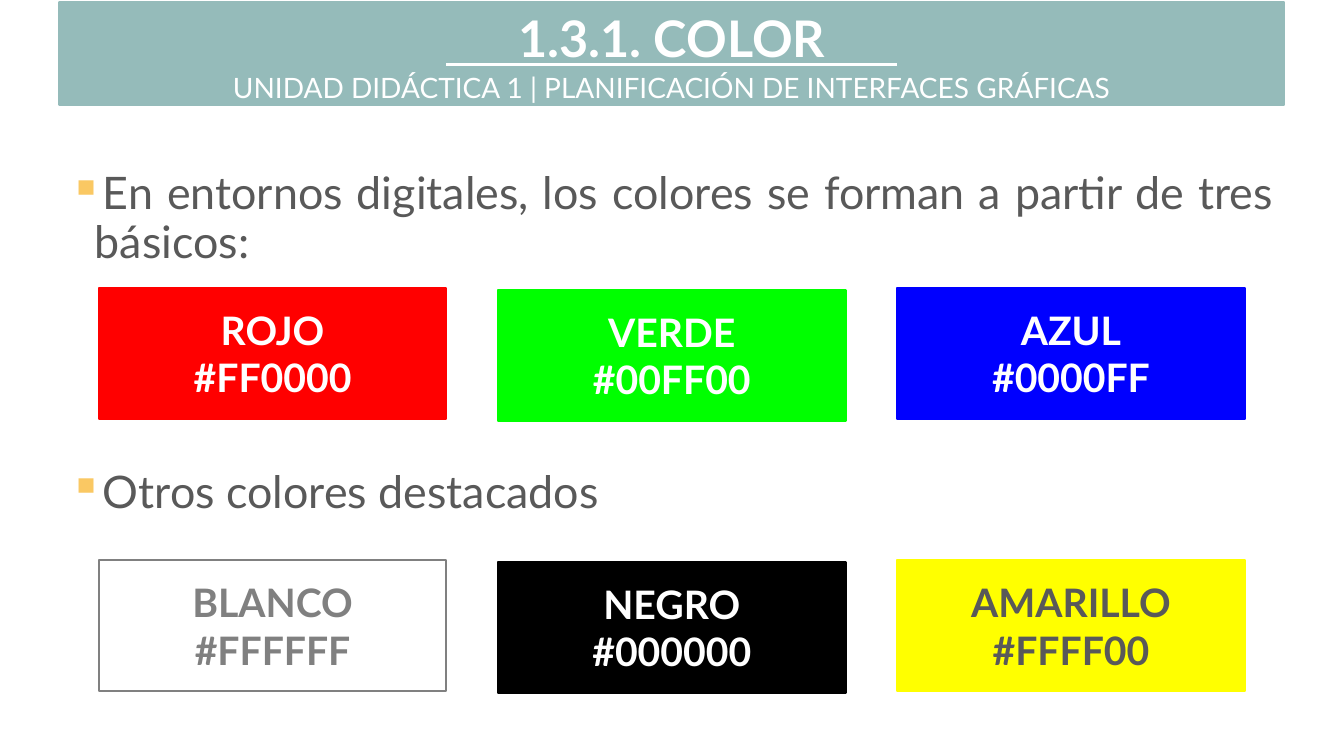
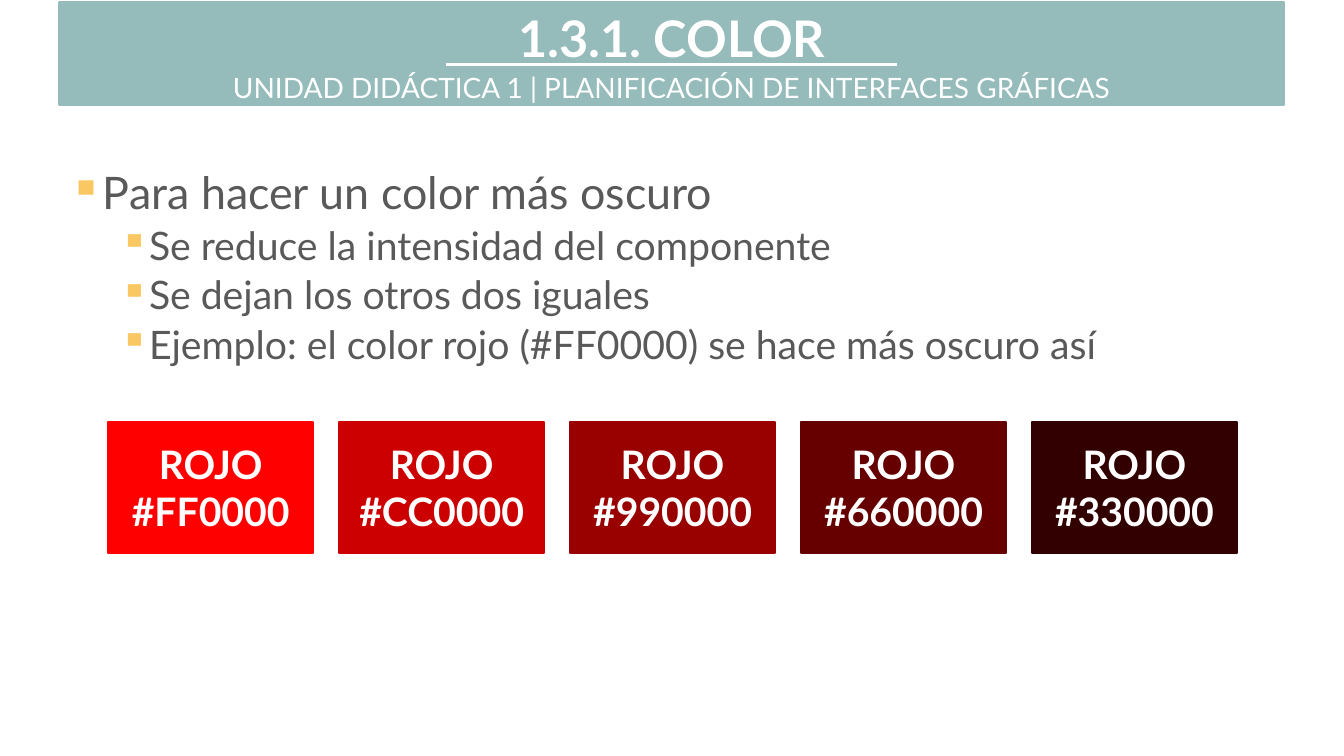
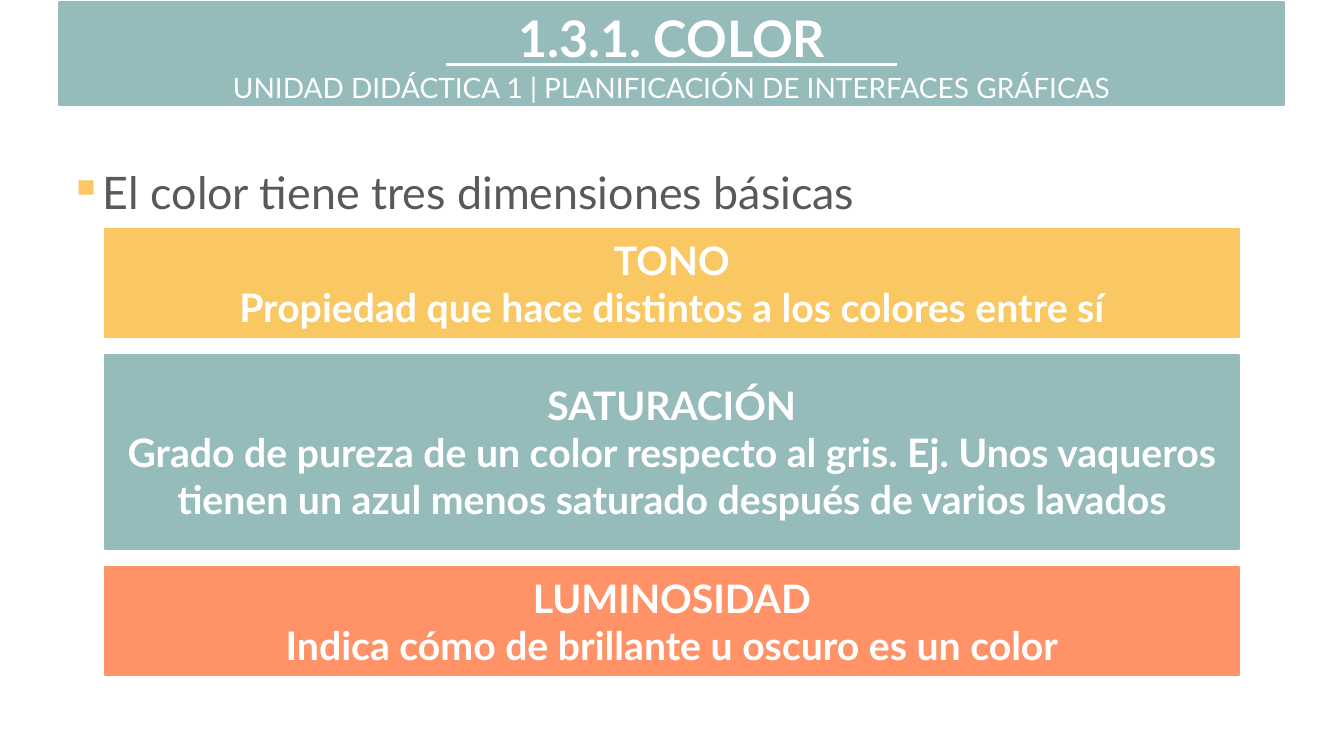
from dataclasses import dataclass

from lxml.etree import SubElement
from pptx import Presentation
from pptx.dml.color import RGBColor
from pptx.enum.shapes import MSO_CONNECTOR, MSO_SHAPE
from pptx.enum.text import MSO_ANCHOR, PP_ALIGN
from pptx.oxml.ns import qn
from pptx.util import Cm, Pt


@dataclass(frozen=True)
class Theme:
    font: str = "Lato"
    white: str = "FFFFFF"
    text: str = "595959"
    grey: str = "808080"
    teal: str = "95BBBA"
    amber: str = "FAC863"
    coral: str = "FF9267"
    title: int = 36
    subtitle: int = 20
    body: int = 32
    label: int = 28
    outline: float = 1.5
    rule: float = 2.25


theme = Theme()


def add_text(frame, text, size, color=theme.white, bold=False,
             align=PP_ALIGN.CENTER, before=0, spacing=1.0, bullet_indent=None):
    """Append one paragraph, reusing the first one while it is empty."""
    para = frame.paragraphs[0] if not frame.text else frame.add_paragraph()
    para.alignment, para.line_spacing = align, spacing
    para.space_before = Pt(before)
    if bullet_indent is not None:
        properties = para._p.get_or_add_pPr()
        properties.set("marL", str(Cm(bullet_indent)))
        properties.set("indent", str(-Cm(0.64)))
        bullet_color = SubElement(properties, qn("a:buClr"))
        SubElement(bullet_color, qn("a:srgbClr"), val=theme.amber)
        SubElement(properties, qn("a:buChar"), char="▪")
    span = para.add_run()
    span.text = text
    span.font.name, span.font.size, span.font.bold = theme.font, Pt(size), bold
    span.font.color.rgb = RGBColor.from_string(color)


def add_box(page, left, top, width, height, fill, lines, size=theme.label,
            color=theme.white, outline=None, bold=True, anchor=MSO_ANCHOR.MIDDLE):
    """Draw a filled rectangle with centred lines of text."""
    box = page.shapes.add_shape(
        MSO_SHAPE.RECTANGLE, Cm(left), Cm(top), Cm(width), Cm(height))
    box.shadow.inherit = False
    box.fill.solid()
    box.fill.fore_color.rgb = RGBColor.from_string(fill)
    box.line.color.rgb = RGBColor.from_string(outline or fill)
    box.line.width = Pt(theme.outline)
    box.text_frame.word_wrap = True
    box.text_frame.vertical_anchor = anchor
    for line in lines:
        add_text(box.text_frame, line, size, color=color, bold=bold)


deck = Presentation()
deck.slide_width, deck.slide_height = Cm(33.87), Cm(19.05)
margin, content_width = 1.5, 30.86

# Bulleted text of each slide: text, level, space before
slide_bullets = [
    [("En entornos digitales, los colores se forman a partir de tres básicos:", 0, 10),
     ("Otros colores destacados", 0, 144)],
    [("Para hacer un color más oscuro", 0, 10),
     ("Se reduce la intensidad del componente", 1, 5),
     ("Se dejan los otros dos iguales", 1, 5),
     ("Ejemplo: el color rojo (#FF0000) se hace más oscuro así", 1, 5)],
    [("El color tiene tres dimensiones básicas", 0, 10)],
]

# Header band and bullets on every slide
pages = []
for bullets in slide_bullets:
    page = deck.slides.add_slide(deck.slide_layouts[6])
    pages.append(page)
    add_box(page, margin, 0.05, content_width, 2.57, theme.teal, ["1.3.1. COLOR"],
            size=theme.title, anchor=MSO_ANCHOR.TOP)
    add_box(page, margin, 1.75, content_width, 0.89, theme.teal,
            ["UNIDAD DIDÁCTICA 1 | PLANIFICACIÓN DE INTERFACES GRÁFICAS"],
            size=theme.subtitle, bold=False)
    rule = page.shapes.add_connector(
        MSO_CONNECTOR.STRAIGHT, Cm(11.25), Cm(1.63), Cm(22.61), Cm(1.63))
    rule.line.color.rgb = RGBColor.from_string(theme.white)
    rule.line.width = Pt(theme.rule)
    SubElement(rule._element.spPr, qn("a:effectLst"))

    body = page.shapes.add_textbox(
        Cm(margin), Cm(4.19), Cm(content_width), Cm(14.33)).text_frame
    body.word_wrap = True
    for text, level, before in bullets:
        add_text(body, text, theme.label if level else theme.body, color=theme.text,
                 align=PP_ALIGN.JUSTIFY, before=before, spacing=0.9,
                 bullet_indent=0.64 + 1.27 * level)

basics_page, darker_page, dimensions_page = pages
swatch_height = 3.3

# Slide 1: two rows of three colours, the middle column slightly lower
color_rows = [
    (7.26, [("ROJO", "FF0000", theme.white, None),
            ("VERDE", "00FF00", theme.white, None),
            ("AZUL", "0000FF", theme.white, None)]),
    (14.12, [("BLANCO", "FFFFFF", theme.grey, theme.grey),
             ("NEGRO", "000000", theme.white, None),
             ("AMARILLO", "FFFF00", theme.text, None)]),
]
for top, swatches in color_rows:
    for column, (name, fill, color, outline) in enumerate(swatches):
        drop = 0.05 if column == 1 else 0
        add_box(basics_page, 2.49 + 10.06 * column, top + drop, 8.76, swatch_height,
                fill, [name, f"#{fill}"], color=color, outline=outline)

# Slide 2: red getting darker
for column, red in enumerate(["FF", "CC", "99", "66", "33"]):
    fill = f"{red}0000"
    add_box(darker_page, 2.72 + 5.82 * column, 10.64, 5.18, swatch_height,
            fill, ["ROJO", f"#{fill}"])

# Slide 3: stacked dimensions with equal gaps
dimensions = [
    ("TONO", "Propiedad que hace distintos a los colores entre sí", theme.amber, 2.72),
    ("SATURACIÓN", "Grado de pureza de un color respecto al gris. Ej. Unos vaqueros "
     "tienen un azul menos saturado después de varios lavados", theme.teal, 4.88),
    ("LUMINOSIDAD", "Indica cómo de brillante u oscuro es un color", theme.coral, 2.72),
]
top = 5.77
for name, meaning, fill, height in dimensions:
    add_box(dimensions_page, 2.64, top, 28.58, height, fill, [name, meaning])
    top += height + 0.46

deck.save("out.pptx")
